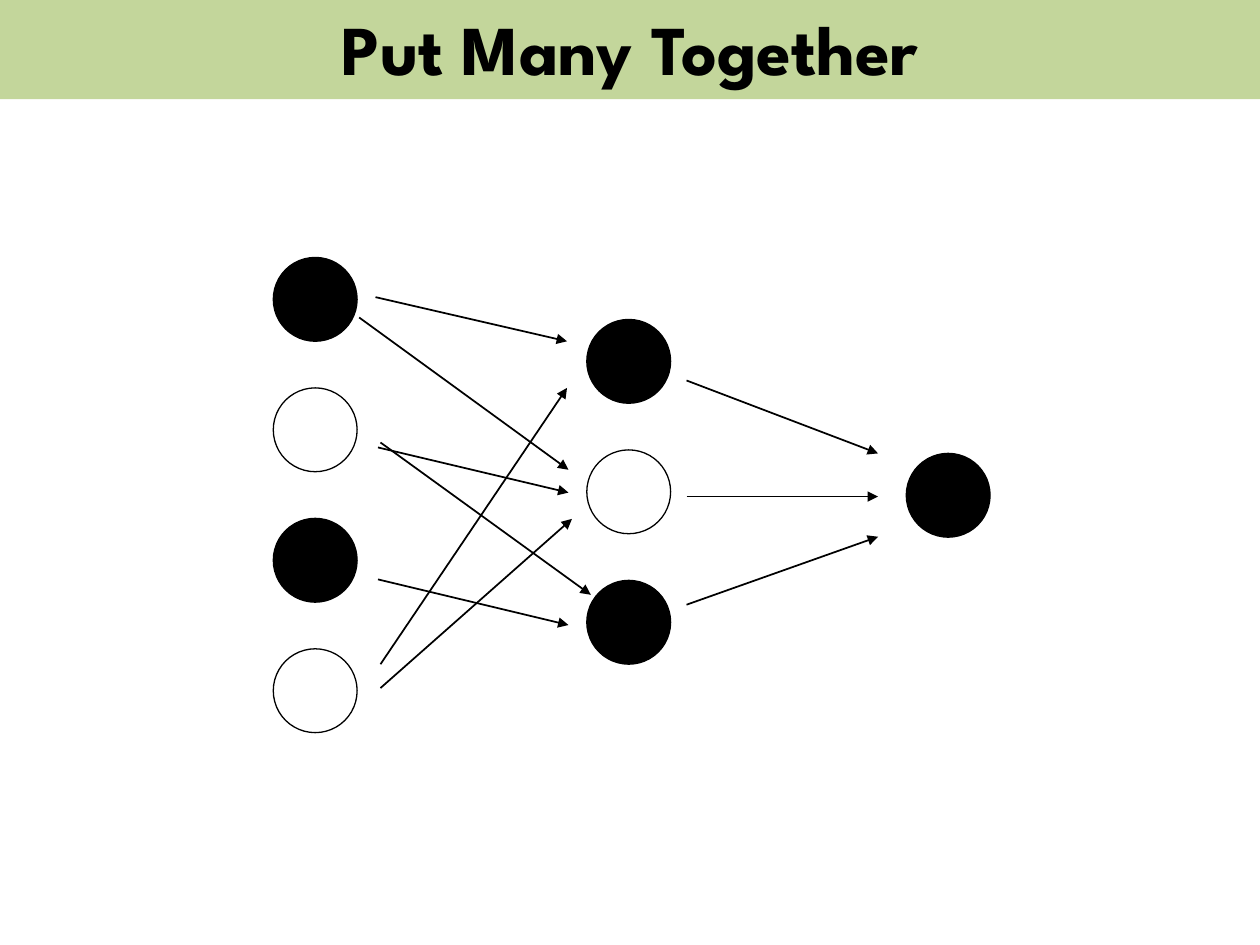
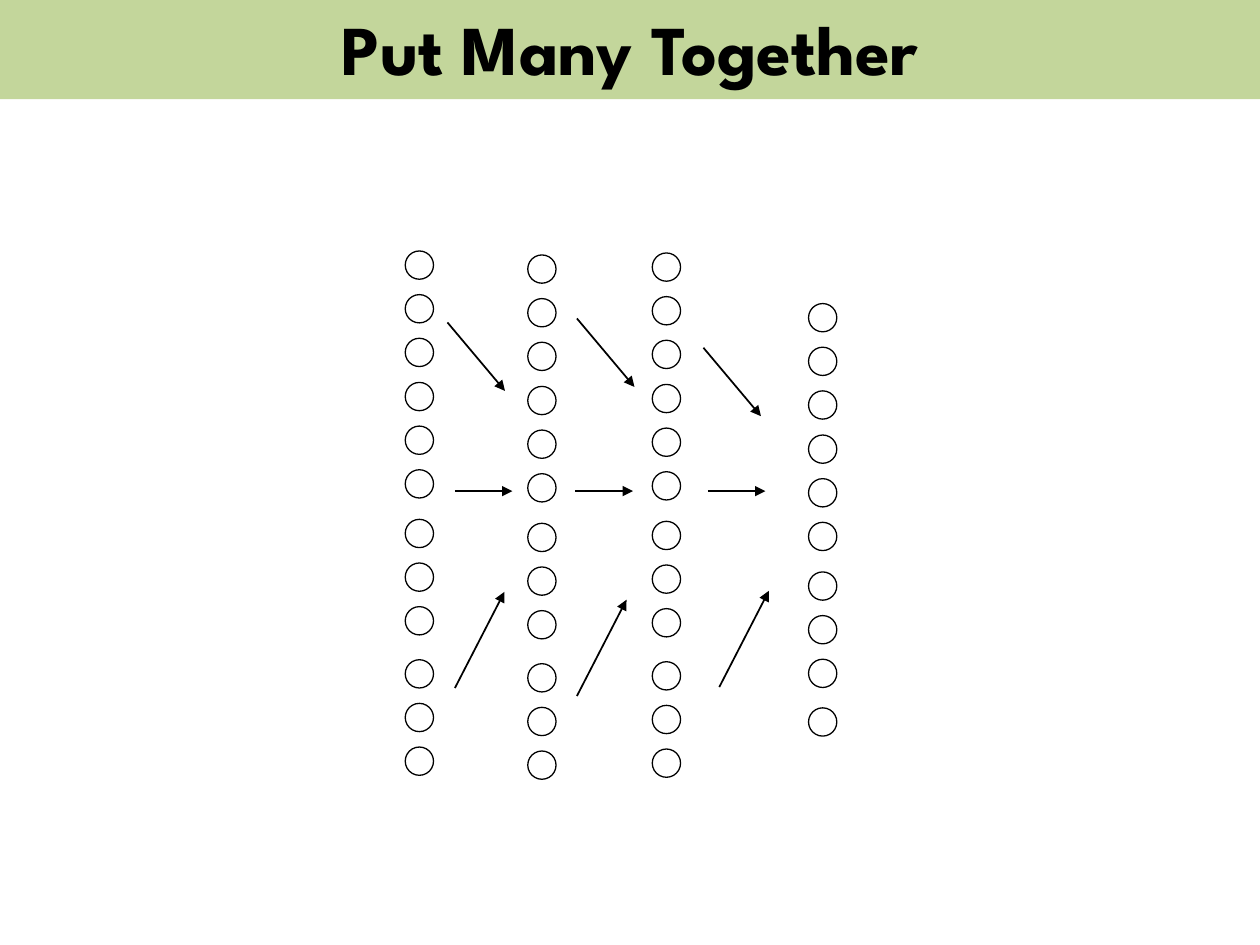
from dataclasses import dataclass

from lxml import etree
from pptx import Presentation
from pptx.dml.color import RGBColor
from pptx.enum import shapes, text
from pptx.oxml import ns
from pptx.util import Cm, Pt


@dataclass(frozen=True)
class Theme:
    band: RGBColor = RGBColor(0xC3, 0xD6, 0x9B)
    ink: RGBColor = RGBColor(0, 0, 0)
    paper: RGBColor = RGBColor(0xFF, 0xFF, 0xFF)
    font: str = "League Spartan"
    title_size: Pt = Pt(40)
    outline: Pt = Pt(0.75)
    arrow: Pt = Pt(1)


THEME = Theme()
TITLE = "Put Many Together"
TITLE_BOX = (0, -0.08, 25.4, 2.08)
TITLE_ONLY_LAYOUT = 5

# All positions and lengths are in centimetres.
# Small network: each layer is (left, top, node states).
NODE_SIZE, NODE_STEP = 1.69, 2.63
LAYERS = [
    (5.51, 5.19, ["on", "off", "on", "off"]),
    (11.83, 6.44, ["on", "off", "on"]),
    (18.27, 9.14, ["on"]),
]
LINKS = [
    (7.67, 13.39, 11.43, 7.82),
    (7.24, 6.40, 11.46, 9.47),
    (7.67, 8.92, 11.91, 11.99),
    (7.62, 11.68, 11.46, 12.60),
    (7.62, 9.02, 11.46, 9.93),
    (7.57, 5.99, 11.43, 6.88),
    (7.67, 13.87, 11.53, 10.46),
    (13.84, 7.67, 17.70, 9.14),
    (13.84, 10.01, 17.70, 10.01),
    (13.84, 12.19, 17.70, 10.82),
]

# Deep network: each layer is (left, top, nodes per cluster, cluster offsets).
DOT_SIZE, DOT_STEP = 0.57, 0.88
FULL_LAYER = ([3, 3, 3, 3], [0, 2.65, 5.41, 8.24])
DEEP_LAYERS = [
    (8.17, 5.06, *FULL_LAYER),
    (10.64, 5.14, *FULL_LAYER),
    (13.15, 5.10, *FULL_LAYER),
    (16.30, 6.12, [3, 3, 3, 1], [0, 2.65, 5.41, 8.15]),
]
# Each arrow family is (run, rise, start points).
FLOWS = [
    (1.16, 0, [(9.17, 9.9), (11.6, 9.9), (14.27, 9.9)]),
    (1.16, 1.38, [(9.02, 6.5), (11.63, 6.42), (14.18, 7.01)]),
    (1.0, -1.94, [(9.17, 13.87), (11.63, 14.03), (14.5, 13.85)]),
]


def apply_format(target, values):
    for name, value in values.items():
        setattr(target, name, value)


def add_titled_slide(presentation):
    """Add a slide whose title placeholder forms the coloured top band."""
    slide = presentation.slides.add_slide(
        presentation.slide_layouts[TITLE_ONLY_LAYOUT])
    title = slide.shapes.title
    box = dict(zip(("left", "top", "width", "height"), map(Cm, TITLE_BOX)))
    apply_format(title, box)
    title.fill.solid()
    title.fill.fore_color.rgb = THEME.band
    frame = title.text_frame
    frame.text = TITLE
    apply_format(frame, {
        "auto_size": text.MSO_AUTO_SIZE.NONE,
        "vertical_anchor": text.MSO_ANCHOR.MIDDLE,
        "word_wrap": True,
    })
    paragraph = frame.paragraphs[0]
    paragraph.alignment = text.PP_ALIGN.CENTER
    font = paragraph.runs[0].font
    apply_format(font, {"name": THEME.font, "size": THEME.title_size, "bold": True})
    font.color.rgb = THEME.ink
    return slide


def add_nodes(slide, left, top, size, step, fills):
    """Stack circles at equal steps, grouped when there are several."""
    grouped = len(fills) > 1
    canvas = slide.shapes.add_group_shape().shapes if grouped else slide.shapes
    for row, fill in enumerate(fills):
        node = canvas.add_shape(shapes.MSO_SHAPE.OVAL, Cm(left),
                                Cm(top + row * step), Cm(size), Cm(size))
        node.shadow.inherit = False
        if fill is None:
            node.fill.background()
        else:
            node.fill.solid()
            node.fill.fore_color.rgb = fill
        node.line.color.rgb = THEME.ink
        node.line.width = THEME.outline


def add_arrow(slide, *ends):
    arrow = slide.shapes.add_connector(
        shapes.MSO_CONNECTOR.STRAIGHT, *map(Cm, ends))
    arrow.line.color.rgb = THEME.ink
    arrow.line.width = THEME.arrow
    line = arrow.line._get_or_add_ln()
    etree.SubElement(line, ns.qn("a:tailEnd"), type="triangle")
    etree.SubElement(arrow._element.spPr, ns.qn("a:effectLst"))


def build_small_network(presentation):
    slide = add_titled_slide(presentation)
    fills = {"on": THEME.ink, "off": THEME.paper}
    for left, top, states in LAYERS:
        add_nodes(slide, left, top, NODE_SIZE, NODE_STEP,
                  [fills[state] for state in states])
    for link in LINKS:
        add_arrow(slide, *link)


def build_deep_network(presentation):
    slide = add_titled_slide(presentation)
    for left, top, counts, offsets in DEEP_LAYERS:
        for count, offset in zip(counts, offsets):
            add_nodes(slide, left, top + offset, DOT_SIZE, DOT_STEP, [None] * count)
    for run, rise, starts in FLOWS:
        for x, y in starts:
            add_arrow(slide, x, y, x + run, y + rise)


def main():
    presentation = Presentation()
    presentation.slide_width = Cm(25.4)
    presentation.slide_height = Cm(19.05)
    build_small_network(presentation)
    build_deep_network(presentation)
    presentation.save("out.pptx")


if __name__ == "__main__":
    main()
